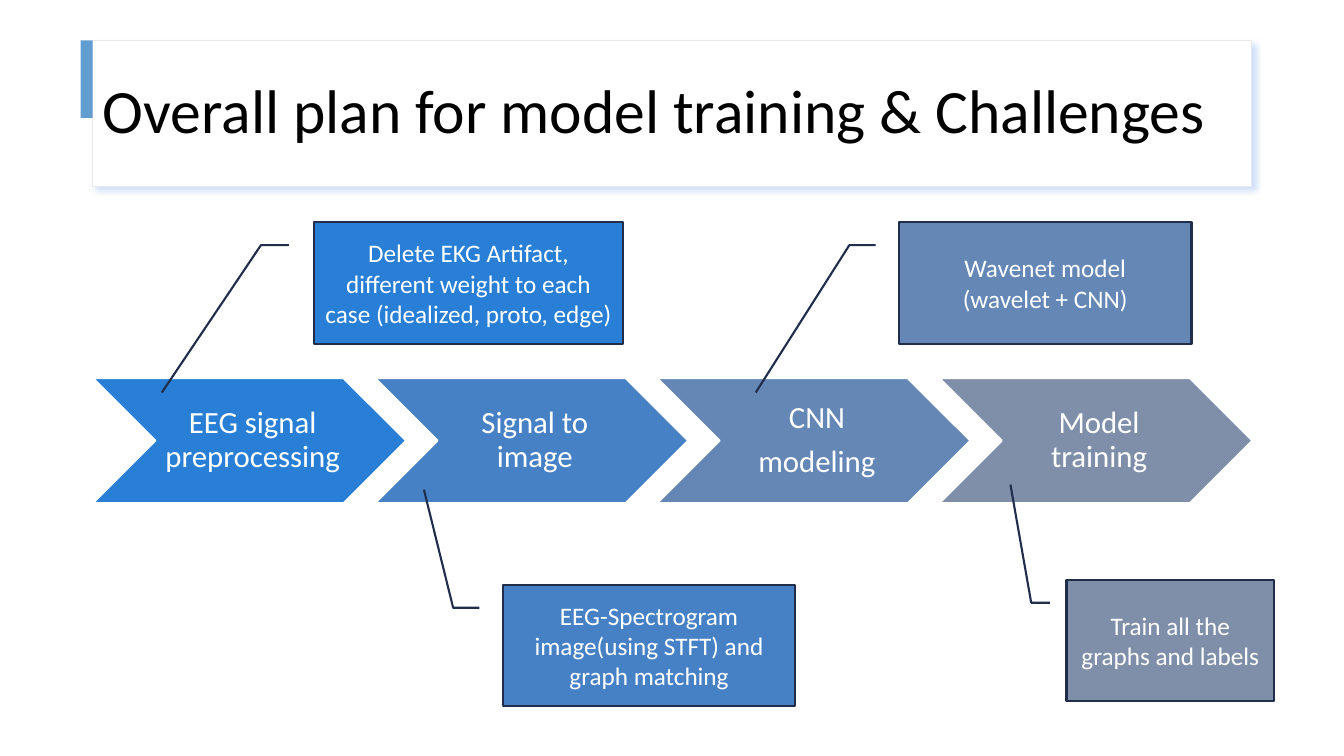
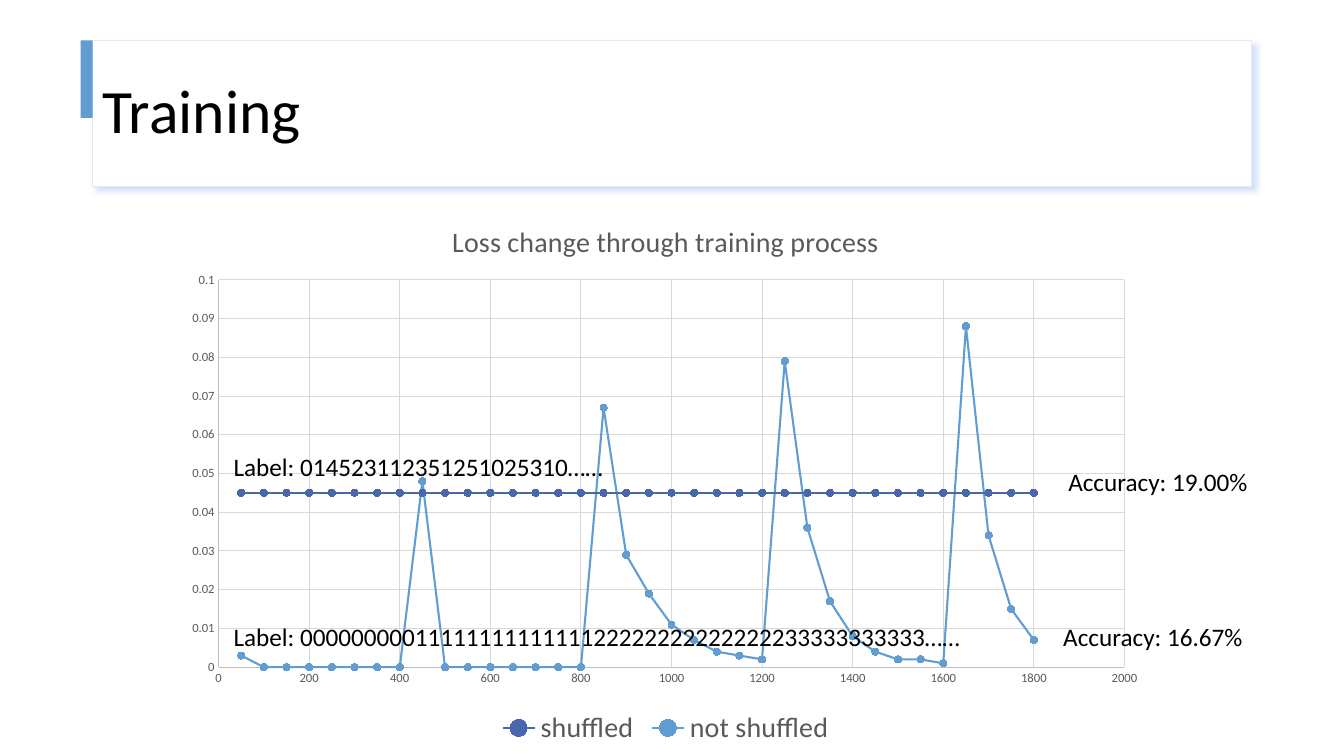
import lxml.etree
import pptx
import pptx.chart.data
import pptx.dml.color
import pptx.enum.chart
import pptx.enum.shapes
import pptx.enum.text
import pptx.oxml.ns
import pptx.util

Pt = pptx.util.Pt
Align = pptx.enum.text.PP_ALIGN
Anchor = pptx.enum.text.MSO_ANCHOR
Shape = pptx.enum.shapes.MSO_SHAPE
qn = pptx.oxml.ns.qn

FONT = "Calibri"
WHITE, BLACK, GREY = "FFFFFF", "000000", "595959"
NAVY, INDIGO, SKY = "202D4B", "4A66AC", "629DD1"
STEP_COLORS = ["297FD5", "4781C5", "6487B6", "7F8FA9"]


def paint(target, color, width=None):
    if width is not None:
        target.width = Pt(width)
        target = target.fill
    if hasattr(target, "solid"):
        target.solid()
        target = target.fore_color
    else:
        target = target.color
    target.rgb = pptx.dml.color.RGBColor.from_string(color)


def write(frame, lines, size, color, align=Align.LEFT, spacing=None, after=0):
    frame.word_wrap = True
    for index, line in enumerate(lines):
        para = frame.add_paragraph() if index else frame.paragraphs[0]
        para.alignment = align
        para.space_after = Pt(after)
        if spacing:
            para.line_spacing = spacing
        span = para.add_run()
        span.text = line
        span.font.name = FONT
        span.font.size = Pt(size)
        span.font.bold = False
        paint(span.font, color)


deck = pptx.Presentation()
deck.slide_width, deck.slide_height = Pt(960), Pt(540)

for heading in ["Overall plan for model training & Challenges", "Training"]:
    page = deck.slides.add_slide(deck.slide_layouts[5])
    title = page.shapes.title
    title.left, title.top, title.width, title.height = Pt(66.2), Pt(28.8), Pt(828), Pt(104.4)
    paint(title.fill, WHITE)
    paint(title.line, "EBE9EC", 0.75)
    title.shadow.inherit = False
    effects = title.element.spPr.find(qn("a:effectLst"))
    shadow = lxml.etree.SubElement(
        effects, qn("a:outerShdw"), blurRad=str(Pt(4)), dist=str(Pt(3)),
        dir="2700000", algn="tl", rotWithShape="0")
    tint = lxml.etree.SubElement(shadow, qn("a:srgbClr"), val="85B2F6")
    lxml.etree.SubElement(tint, qn("a:alpha"), val="40000")
    title.text_frame.auto_size = pptx.enum.text.MSO_AUTO_SIZE.NONE
    title.text_frame.vertical_anchor = Anchor.MIDDLE
    write(title.text_frame, [heading], 44, BLACK, spacing=0.9)

    accent = page.shapes.add_shape(Shape.RECTANGLE, Pt(57.6), Pt(28.8), Pt(8.6), Pt(55.4))
    accent.shadow.inherit = False
    paint(accent.fill, SKY)
    accent.line.fill.background()

plan_page, training_page = deck.slides

step_width = 223.9
steps = [["EEG signal preprocessing"], ["Signal to image"], ["CNN", "modeling"], ["Model training"]]
for index, lines in enumerate(steps):
    chevron = plan_page.shapes.add_shape(
        Shape.CHEVRON, Pt(66.2 + index * step_width * 0.9), Pt(270), Pt(step_width), Pt(89.5))
    chevron.shadow.inherit = False
    paint(chevron.fill, STEP_COLORS[index])
    paint(chevron.line, WHITE, 1.5)
    frame = chevron.text_frame
    frame.margin_left = Pt(7)
    frame.margin_top = frame.margin_right = frame.margin_bottom = Pt(2.3)
    frame.vertical_anchor = Anchor.MIDDLE
    write(frame, lines, 22, WHITE, Align.CENTER, 0.9, 7.7)

leader_up, leader_down = (-0.78, -0.27), (1.4, -0.49)
callouts = [
    (224, 158.6, 221.3, leader_down,
     ["Delete EKG Artifact, different weight to each case (idealized, proto, edge)"]),
    (359.2, 417.6, 208.9, leader_up,
     ["EEG-Spectrogram image(using STFT) and graph matching"]),
    (642.2, 158.6, 208.9, leader_down, ["Wavenet model", "(wavelet + CNN)"]),
    (761.8, 414, 148.3, leader_up, ["Train all the graphs and labels"]),
]
for color, (left, top, width, leader, lines) in zip(STEP_COLORS, callouts):
    callout = plan_page.shapes.add_shape(
        Shape.LINE_CALLOUT_2, Pt(left), Pt(top), Pt(width), Pt(87))
    for index, value in enumerate([0.19, -0.08, 0.19, -0.17, *leader]):
        callout.adjustments[index] = value
    callout.shadow.inherit = False
    paint(callout.fill, color)
    paint(callout.line, NAVY, 1.5)
    callout.text_frame.vertical_anchor = Anchor.MIDDLE
    write(callout.text_frame, lines, 18, WHITE, Align.CENTER)

losses = {
    "shuffled": [0.045] * 36,
    "not shuffled": [0.003] + [0] * 7 + [0.048] + [0] * 7 + [
        0.067, 0.029, 0.019, 0.011, 0.007, 0.004, 0.003, 0.002,
        0.079, 0.036, 0.017, 0.008, 0.004, 0.002, 0.002, 0.001,
        0.088, 0.034, 0.015, 0.007],
}
data = pptx.chart.data.XyChartData()
for name, values in losses.items():
    series = data.add_series(name)
    for index, value in enumerate(values):
        series.add_data_point(50 * (index + 1), value)

chart = training_page.shapes.add_chart(
    pptx.enum.chart.XL_CHART_TYPE.XY_SCATTER_LINES,
    Pt(123.8), Pt(143.3), Pt(703.4), Pt(393.1), data).chart
chart.font.name = FONT
chart.font.size = Pt(10)
paint(chart.font, BLACK)
chart.has_title = True
write(chart.chart_title.text_frame, ["Loss change through training process"], 20, GREY, Align.CENTER)
chart.chart_title.include_in_layout = False
chart.has_legend = True
chart.legend.position = pptx.enum.chart.XL_LEGEND_POSITION.BOTTOM
chart.legend.include_in_layout = False
chart.legend.font.name = FONT
chart.legend.font.size = Pt(20)
paint(chart.legend.font, GREY)

for axis, maximum in [(chart.category_axis, 2000), (chart.value_axis, 0.1)]:
    axis.minimum_scale, axis.maximum_scale, axis.major_unit = 0, maximum, maximum / 10
    axis.major_tick_mark = axis.minor_tick_mark = pptx.enum.chart.XL_TICK_MARK.NONE
    axis.has_major_gridlines = True
    paint(axis.major_gridlines.format.line, "D9D9D9", 0.75)
    paint(axis.format.line, "BFBFBF", 0.75)
    axis.tick_labels.number_format = "General"
    axis.tick_labels.number_format_is_linked = False
    axis.tick_labels.font.name = FONT
    axis.tick_labels.font.size = Pt(9)
    paint(axis.tick_labels.font, GREY)

chart.plots[0].vary_by_categories = False
for series, color in zip(chart.plots[0].series, [INDIGO, SKY]):
    series.smooth = False
    paint(series.format.line, color, 1.5)
    series.marker.style = pptx.enum.chart.XL_MARKER_STYLE.CIRCLE
    series.marker.size = 5
    paint(series.marker.format.fill, color)
    paint(series.marker.format.line, color, 0.75)

plot_area = chart.element.find(".//" + qn("c:plotArea"))
for layout in plot_area.findall(qn("c:layout")):
    plot_area.remove(layout)
layout = lxml.etree.Element(qn("c:layout"))
plot_area.insert(0, layout)
manual = lxml.etree.SubElement(layout, qn("c:manualLayout"))
for tag, value in [("layoutTarget", "inner"), ("xMode", "edge"), ("yMode", "edge"),
                   ("x", "0.046"), ("y", "0.144"), ("w", "0.92"), ("h", "0.704")]:
    lxml.etree.SubElement(manual, qn("c:" + tag), val=value)

notes = [
    (756, 329.8, 167.8, "Accuracy: 19.00%"),
    (752.4, 440.6, 177.8, "Accuracy: 16.67%"),
    (159.8, 319, 746.6, "Label: 014523112351251025310……"),
    (159.8, 440.6, 540, "Label: 0000000001111111111111122222222222222233333333333……"),
]
for left, top, width, text in notes:
    box = training_page.shapes.add_textbox(Pt(left), Pt(top), Pt(width), Pt(29))
    write(box.text_frame, [text], 18, BLACK)

deck.save("out.pptx")
